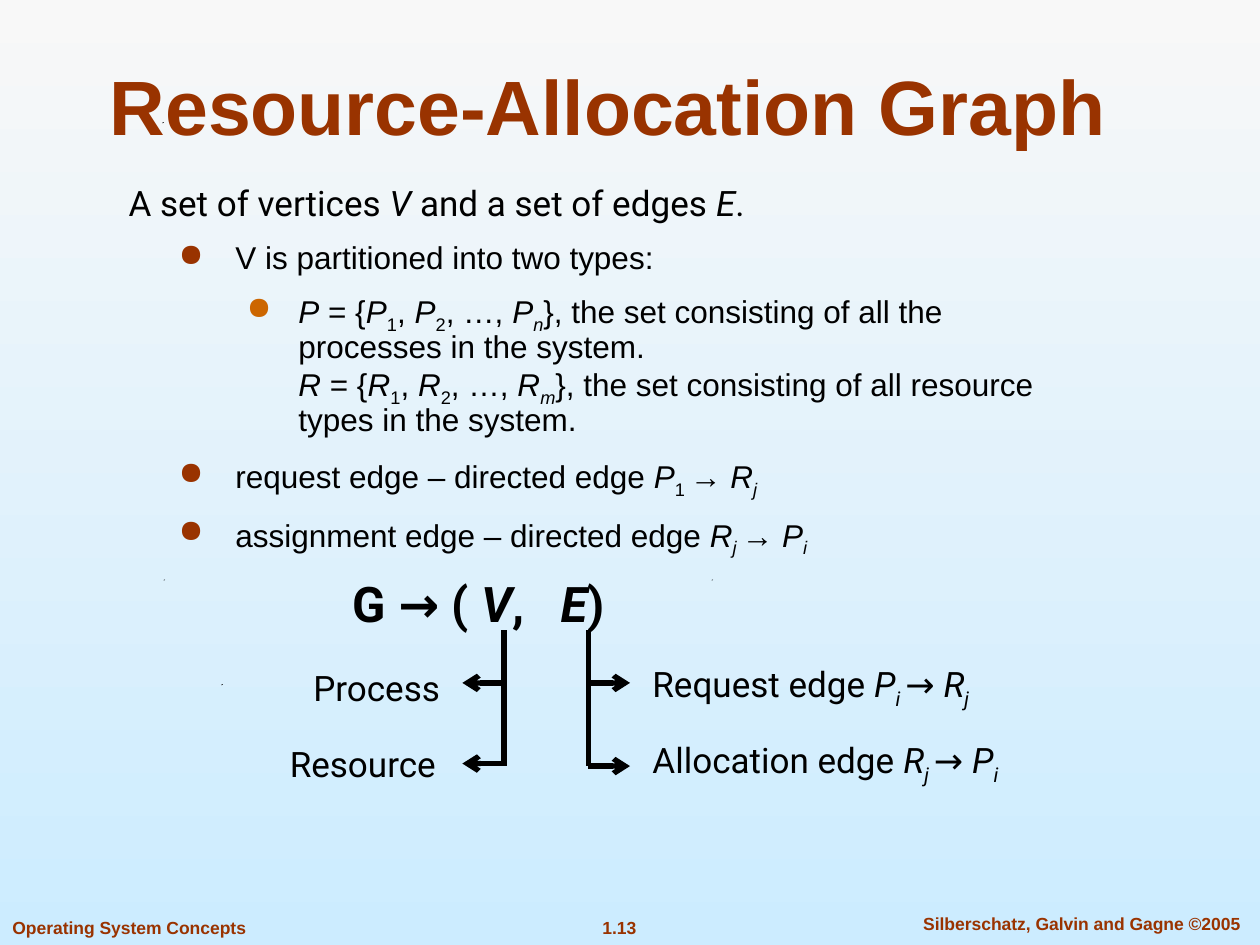
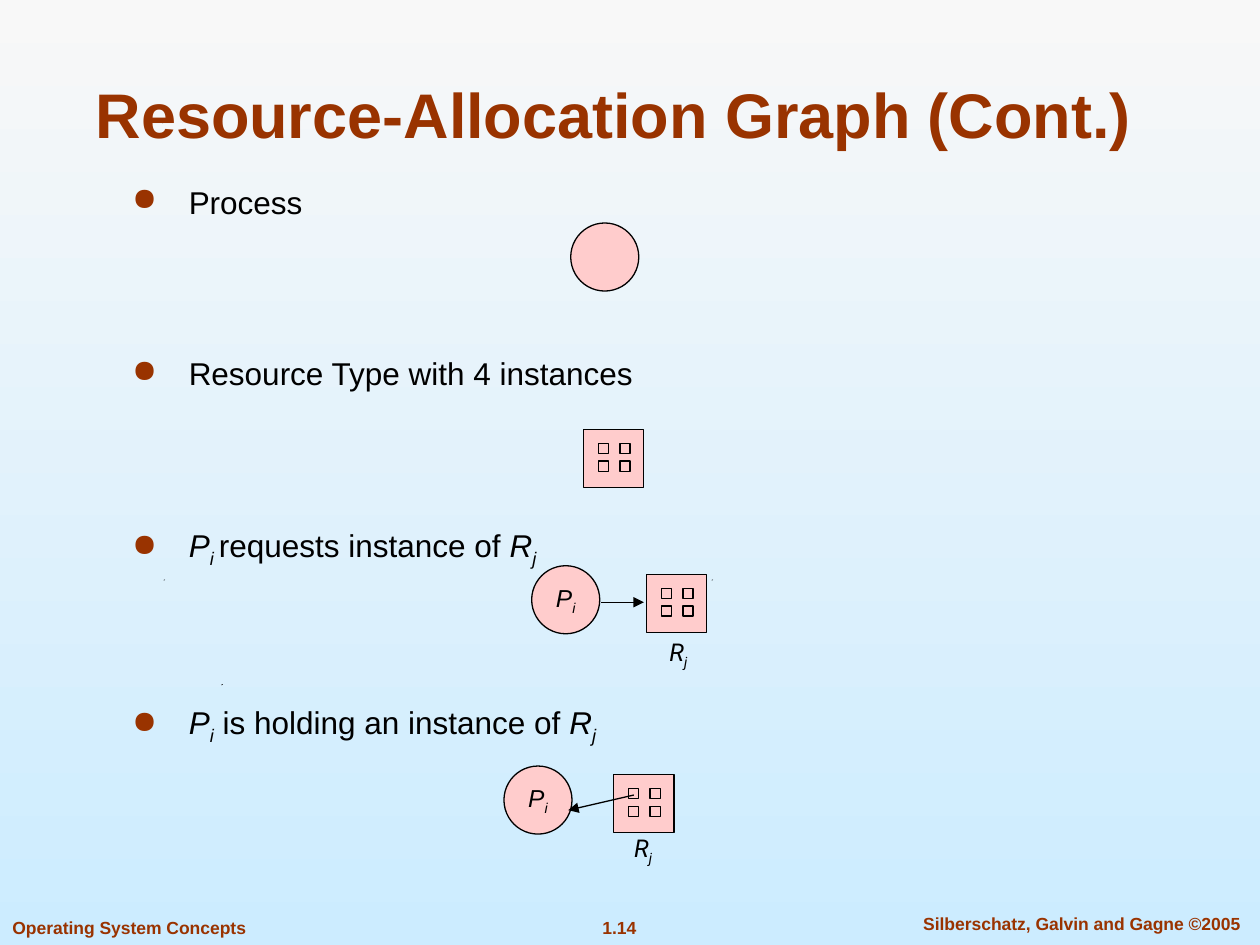
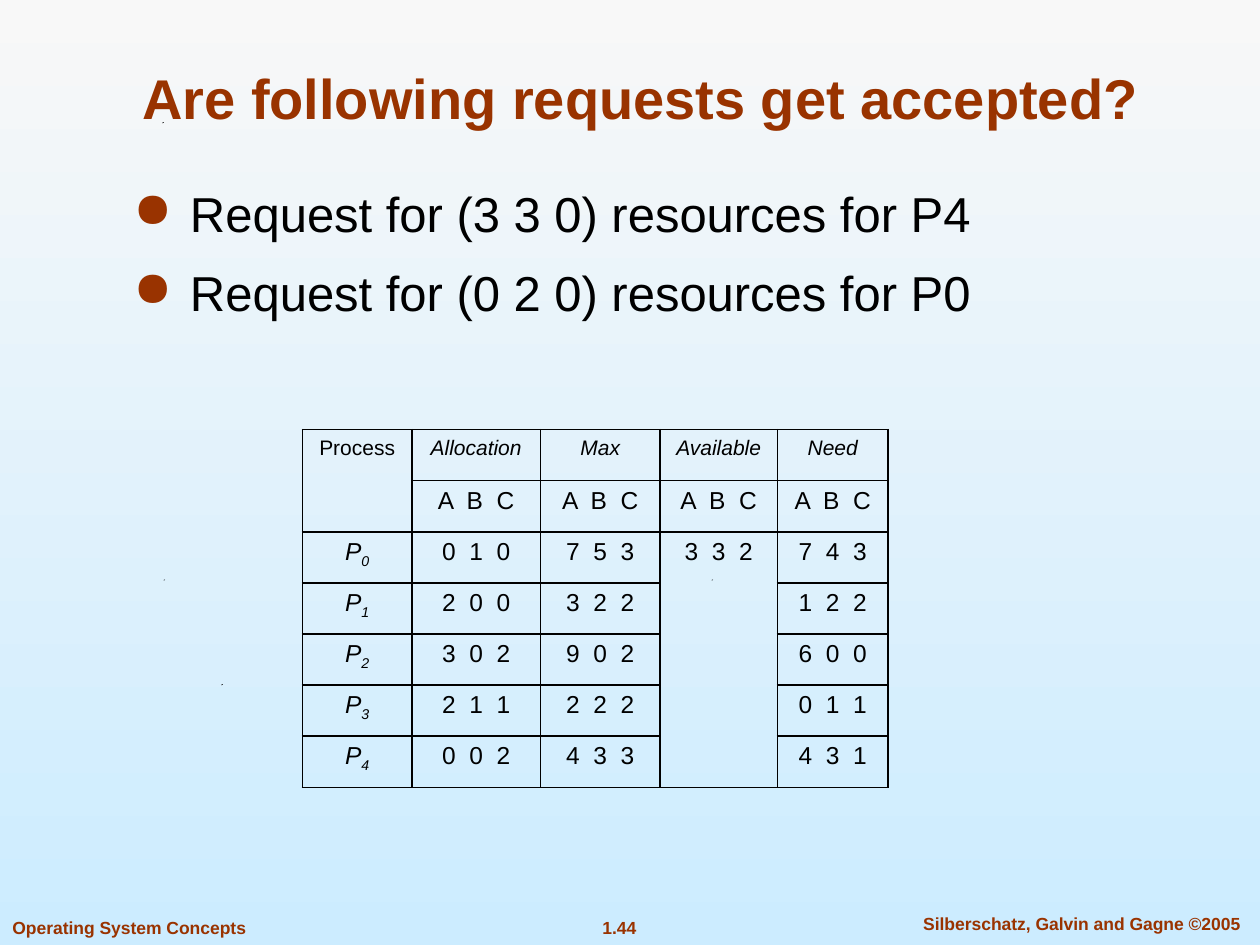
from itertools import product
from lxml import etree
from pptx import Presentation
from pptx.dml.color import RGBColor
from pptx.enum import shapes, text
from pptx.oxml import ns
from pptx.util import Inches, Pt

# Shared look
COLORS = {"title": "993300", "bullet": "993300", "sub_bullet": "CC6600", "ink": "000000",
          "node": "FFCCCC", "sky_top": "F8F8F8", "sky_bottom": "CCECFF"}
SANS, LABEL = "Arial", "Roboto"
LEFT, CENTER = text.PP_ALIGN.LEFT, text.PP_ALIGN.CENTER
TOP, MIDDLE, BOTTOM = text.MSO_ANCHOR.TOP, text.MSO_ANCHOR.MIDDLE, text.MSO_ANCHOR.BOTTOM
FOOTERS = [("Operating System Concepts", (0, 7.23, 2.21, 0.27), LEFT),
           ("Silberschatz, Galvin and Gagne ©2005", (7.1, 7.2, 2.97, 0.27), CENTER)]
NUMBER_BOX = (4.67, 7.23, 0.49, 0.27)
SPECKS = [(1.76, 5.43), (1.3, 4.6), (5.65, 4.6), (1.29, 0.97)]

# Content: *italic*, _subscript_; bullets are (level, text)
GRAPH_BULLETS = [
    (0, "V is partitioned into two types:"),
    (1, "*P* = {*P*_1_, *P*_2_, …, *P_n_*}, the set consisting of all the processes in the system.\n"
        "*R* = {*R*_1_, *R*_2_, …, *R_m_*}, the set consisting of all resource types in the system."),
    (0, "request edge – directed edge *P*_1 _→ *R_j_*"),
    (0, "assignment edge – directed edge *R_j _*→ *P_i_*"),
]
GRAPH_LABELS = [
    ("A set of vertices *V* and a set of edges *E*.", (0.9, 1.39, 5.13, 0.43), CENTER),
    ("Process", (2.38, 5.24, 1.22, 0.44), CENTER),
    ("Resource", (2.18, 5.84, 1.4, 0.44), CENTER),
    ("Request edge *P_i _*→ *R_j_*", (5.08, 5.23, 2.97, 0.44), LEFT),
    ("Allocation edge *R_j _*→ *P_i_*", (5.08, 5.83, 3.11, 0.44), LEFT),
]
GRAPH_STEMS = [(4, 3.67, (5.42, 6.06)), (4.67, 5, (5.42, 6.08))]  # stem x, tip x, arrow heights

SYMBOL_BULLETS = [(0, "Process"), (0, "Resource Type with 4 instances"),
                  (0, "*P_i _*requests instance of *R_j_*"),
                  (0, "*P_i_* is holding an instance of *R_j_*")]
PROCESSES = [(4.53, 1.77, ""), (4.22, 4.49, "*P_i_*"), (4, 6.08, "*P_i_*")]
RESOURCES = [(4.63, 3.41), (5.13, 4.56), (4.87, 6.15)]
RESOURCE_NAMES = [(5.2, 5.02), (4.92, 6.58)]
SYMBOL_ARROWS = [((4.77, 4.78), (5.11, 4.78)), ((5.03, 6.31), (4.51, 6.43))]

REQUEST_BULLETS = [(0, "Request for (3 3 0) resources for P4"),
                   (0, "Request for (0 2 0) resources for P0")]
STATE_ROWS = [
    ["Process", "*Allocation*", "*Max*", "*Available*", "*Need*"],
    ["", "A  B  C", "A  B  C", "A  B  C", "A  B  C"],
    ["*P_0_*", "0  1  0", "7  5  3", "3  3  2", "7  4  3"],
    ["*P_1_*", "2  0  0", "3  2  2", "", "1  2  2"],
    ["*P_2_*", "3  0  2", "9  0  2", "", "6  0  0"],
    ["*P_3_*", "2  1  1", "2  2  2", "", "0  1  1"],
    ["*P_4_*", "0  0  2", "4  3  3", "", "4  3  1"],
]
STATE_WIDTHS = [0.87, 1.02, 0.95, 0.93, 0.88]
STATE_MERGES = [((0, 0), (1, 0)), ((2, 3), (6, 3))]


def rgb(name):
    return RGBColor.from_string(COLORS[name])


def add_xml(parent, tag, **attributes):
    return etree.SubElement(parent, ns.qn(tag), attributes)


# Text
def write(para, marked, size, font=SANS, color="ink", bold=False):
    for row, line in enumerate(marked.split("\n")):
        if row:
            para.add_line_break()
        for slant, part in enumerate(line.split("*")):
            for drop, piece in enumerate(part.split("_")):
                if not piece:
                    continue
                span = para.add_run()
                span.text = piece
                span.font.name, span.font.size = font, Pt(size)
                span.font.bold, span.font.italic = bold, slant % 2 == 1
                span.font.color.rgb = rgb(color)
                if drop % 2:
                    span.font._element.set("baseline", "-25000")


def add_text(page, marked, place, size, align=CENTER, anchor=MIDDLE, **style):
    box = page.shapes.add_textbox(*map(Inches, place))
    frame = box.text_frame
    frame.word_wrap, frame.vertical_anchor = True, anchor
    frame.paragraphs[0].alignment = align
    write(frame.paragraphs[0], marked, size, **style)
    return frame


def add_bullets(page, bullets, place, size, spacing=1.0, gap=11.2):
    frame = add_text(page, "", place, size, LEFT, TOP)
    for index, (level, marked) in enumerate(bullets):
        para = frame.add_paragraph() if index else frame.paragraphs[0]
        props = para._p.get_or_add_pPr()
        props.set("marL", str(Inches((0.5, 1)[level])))
        props.set("indent", str(Inches((-0.45, -0.41)[level])))
        color = add_xml(props, "a:buClr")
        add_xml(color, "a:srgbClr", val=COLORS[("bullet", "sub_bullet")[level]])
        add_xml(props, "a:buChar", char="●")
        para.level, para.line_spacing = level, spacing
        if index:
            para.space_before = Pt(9.8 if level else gap)
        write(para, marked, size)


# Drawing
def add_line(page, start, end, width, head=None):
    line = page.shapes.add_connector(shapes.MSO_CONNECTOR.STRAIGHT, *map(Inches, (*start, *end)))
    line.line.color.rgb, line.line.width = rgb("ink"), Pt(width)
    if head:
        add_xml(line.line._get_or_add_ln(), "a:tailEnd", type=head)
    add_xml(line._element.spPr, "a:effectLst")


def add_node(page, kind, place):
    node = page.shapes.add_shape(kind, *map(Inches, place))
    node.shadow.inherit = False
    node.fill.solid()
    node.fill.fore_color.rgb = rgb("node")
    node.line.color.rgb, node.line.width = rgb("ink"), Pt(0.75)
    return node


def add_process(page, left, top, name):
    frame = add_node(page, shapes.MSO_SHAPE.OVAL, (left, top, 0.54, 0.54)).text_frame
    frame.vertical_anchor = MIDDLE
    frame.word_wrap = False
    frame.paragraphs[0].alignment = CENTER
    write(frame.paragraphs[0], name, 14)


def add_resource(page, left, top):
    square = shapes.MSO_SHAPE.RECTANGLE
    add_node(page, square, (left, top, 0.48, 0.46))
    for row, column in product(range(2), repeat=2):
        add_node(page, square, (left + 0.12 + 0.17 * column, top + 0.11 + 0.14 * row, 0.08, 0.08))


def add_state_table(page):
    table = page.shapes.add_table(len(STATE_ROWS), len(STATE_WIDTHS), Inches(2.4), Inches(3.41),
                                  Inches(sum(STATE_WIDTHS)), Inches(2.84)).table
    table.first_row = table.horz_banding = False
    for column, width in zip(table.columns, STATE_WIDTHS):
        column.width = Inches(width)
    for row, values in enumerate(STATE_ROWS):
        for column, value in enumerate(values):
            cell = table.cell(row, column)
            props = cell._tc.get_or_add_tcPr()
            for side in "LRTB":
                border = add_xml(props, f"a:ln{side}", w=str(Pt(1)))
                add_xml(add_xml(border, "a:solidFill"), "a:srgbClr", val=COLORS["ink"])
            cell.fill.background()
            para = cell.text_frame.paragraphs[0]
            para.alignment = CENTER
            write(para, value, 14 if row else 12)
    for first, last in STATE_MERGES:
        table.cell(*first).merge(table.cell(*last))


# Pages
def add_page(deck, number, title, place, size):
    page = deck.slides.add_slide(deck.slide_layouts[6])
    for left, top in SPECKS:
        builder = page.shapes.build_freeform(Inches(left), Inches(top))
        builder.add_line_segments([(Inches(left + 0.01), Inches(top)),
                                   (Inches(left), Inches(top + 0.01))])
        speck = builder.convert_to_shape()
        speck.shadow.inherit = False
        speck.fill.solid()
        speck.fill.fore_color.rgb = rgb("ink")
        speck.line.fill.background()
    for label, spot, align in FOOTERS + [(number, NUMBER_BOX, CENTER)]:
        add_text(page, label, spot, 10, align, TOP, color="title", bold=True)
    add_text(page, title, place, size, CENTER, BOTTOM, color="title", bold=True)
    return page


def build_graph(deck):
    page = add_page(deck, "1.13", "Resource-Allocation Graph", (0.58, 0.25, 8.5, 1), 44)
    add_bullets(page, GRAPH_BULLETS, (1.27, 1.87, 7.2, 2.6), 18, spacing=0.9)
    add_text(page, "G → ( *V*,   *E*)", (2.58, 4.5, 2.44, 0.57), 28, font=LABEL, bold=True)
    for label, place, align in GRAPH_LABELS:
        add_text(page, label, place, 20, align, font=LABEL)
    for stem, tip, heights in GRAPH_STEMS:
        add_line(page, (stem, 5), (stem, 6.08), 3)
        for height in heights:
            add_line(page, (stem, height), (tip, height), 3, "arrow")


def build_symbols(deck):
    page = add_page(deck, "1.14", "Resource-Allocation Graph (Cont.)", (0.41, 0.25, 8.92, 1), 36)
    add_bullets(page, SYMBOL_BULLETS, (0.9, 1.4, 8.04, 4.9), 18, gap=76.5)
    for process in PROCESSES:
        add_process(page, *process)
    for resource in RESOURCES:
        add_resource(page, *resource)
    for left, top in RESOURCE_NAMES:
        add_text(page, "*R_j_*", (left, top, 0.37, 0.33), 14, font=LABEL)
    for start, end in SYMBOL_ARROWS:
        add_line(page, start, end, 0.75, "triangle")


def build_requests(deck):
    page = add_page(deck, "1.44", "Are following requests get accepted?", (0.92, 0.17, 8.33, 0.92), 32)
    add_bullets(page, REQUEST_BULLETS, (0.91, 1.41, 8.23, 5.18), 28)
    add_state_table(page)


def main():
    deck = Presentation()
    deck.slide_width, deck.slide_height = Inches(10), Inches(7.5)
    sky = deck.slide_master.background.fill
    sky.gradient()
    sky.gradient_angle = 270
    for stop, name in zip(sky.gradient_stops, ("sky_top", "sky_bottom")):
        stop.color.rgb = rgb(name)
    build_graph(deck)
    build_symbols(deck)
    build_requests(deck)
    deck.save("out.pptx")


if __name__ == "__main__":
    main()
